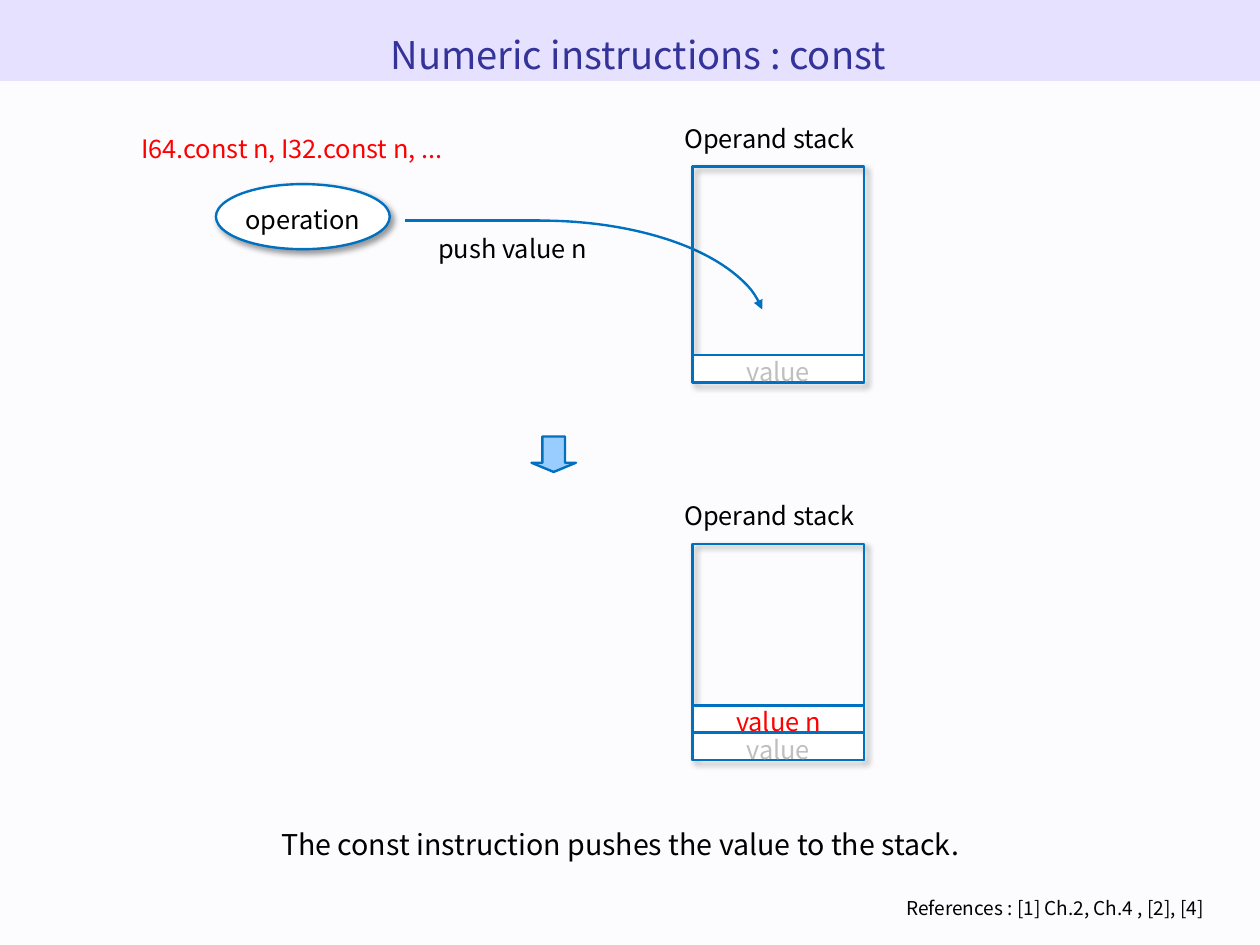
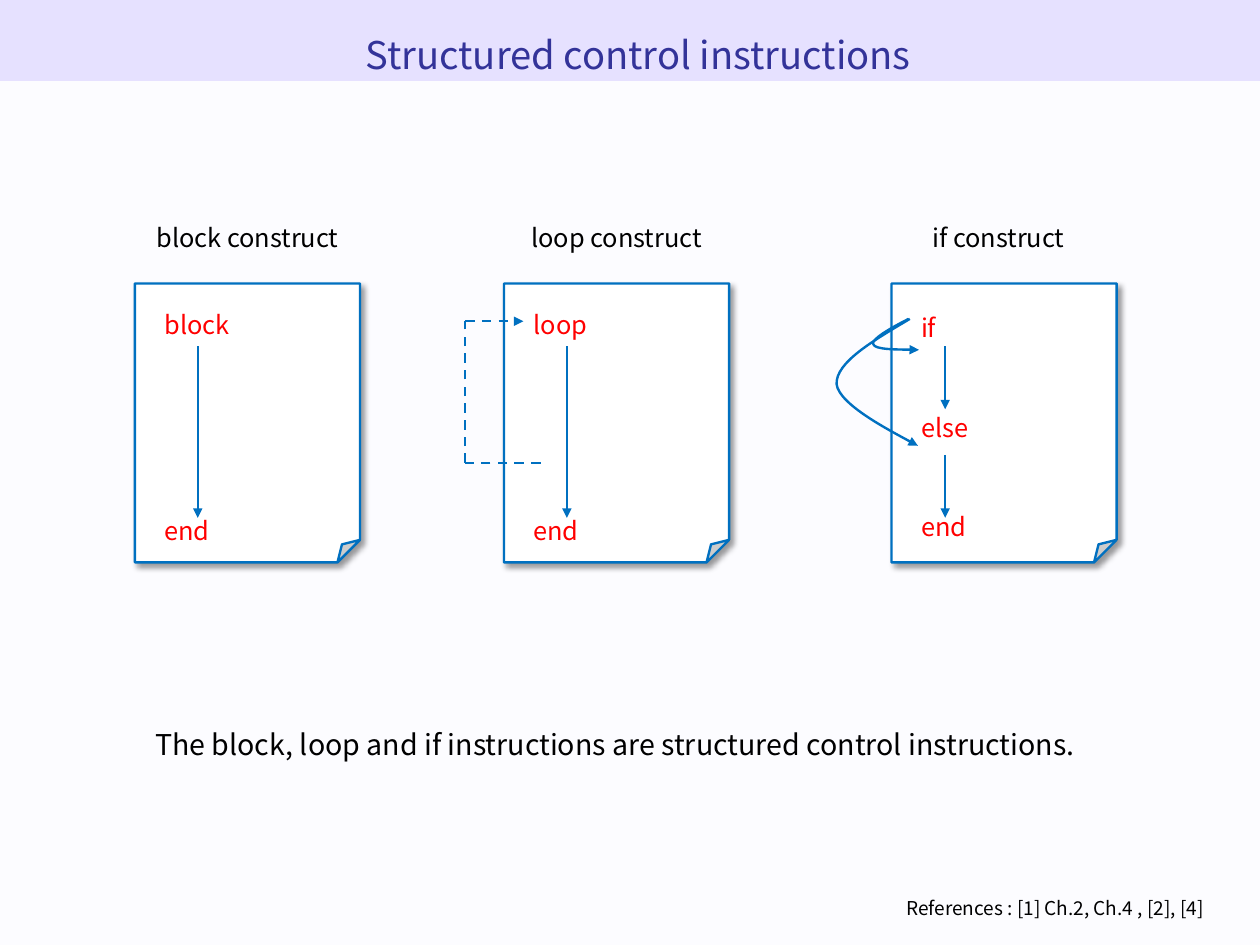
from dataclasses import dataclass
from itertools import pairwise

from lxml import etree
from pptx import Presentation
from pptx import util as u
from pptx.dml.color import RGBColor as Rgb
from pptx.enum import dml, shapes, text
from pptx.oxml.ns import qn

Pt = u.Pt
Kind = shapes.MSO_SHAPE
Side = text.PP_ALIGN
Hold = text.MSO_ANCHOR


@dataclass(frozen=True)
class Theme:
    font: str = "Noto Sans CJK SC"
    page: str = "FCFCFF"
    band: str = "E6E1FF"
    title: str = "333399"
    ink: str = "000000"
    key: str = "FF0000"
    faint: str = "BFBFBF"
    white: str = "FFFFFF"
    edge: str = "0070C0"
    sky: str = "99CCFF"
    head: int = 24
    note: int = 18
    body: int = 16
    ref: int = 12
    lead: float = 1.17
    rule: float = 1.5


T = Theme()
WIDE, HIGH = 793.7, 595.28


def pts(*vals):
    return [Pt(v) for v in vals]


def write(shape, words, size=T.body, tint=T.ink, side=Side.CENTER,
          hold=Hold.MIDDLE, wrap=True, gap=0):
    """Set the words, one paragraph a line, with gap points between them."""
    frame = shape.text_frame
    frame.text = words
    frame.word_wrap = wrap
    frame.auto_size = text.MSO_AUTO_SIZE.NONE
    frame.vertical_anchor = hold
    for i, para in enumerate(frame.paragraphs):
        para.alignment = side
        para.line_spacing = T.lead
        para.space_before = Pt(gap if i else 0)
        for run in para.runs:
            run.font.name = T.font
            run.font.size = Pt(size)
            run.font.color.rgb = Rgb.from_string(tint)


def label(slide, box, words, **style):
    write(slide.shapes.add_textbox(*pts(*box)), words, **style)


def stroke(shape, dash=False, tip=False):
    line = shape.line
    line.color.rgb = Rgb.from_string(T.edge)
    line.width = Pt(T.rule)
    if dash:
        line.dash_style = dml.MSO_LINE.DASH
    if tip:
        etree.SubElement(line._get_or_add_ln(), qn("a:tailEnd"), type="triangle")


def cast(shape):
    """Give the shape a soft shadow to the lower right."""
    fx = shape.element.spPr.find(qn("a:effectLst"))
    drop = etree.SubElement(fx, qn("a:outerShdw"), blurRad=str(Pt(4)),
                            dist=str(Pt(3)), dir="2700000", algn="tl",
                            rotWithShape="0")
    tone = etree.SubElement(drop, qn("a:srgbClr"), val=T.ink)
    etree.SubElement(tone, qn("a:alpha"), val="40000")


def adjust(shape, **guides):
    """Set the named adjust values of a preset shape."""
    found = shape.element.find(".//" + qn("a:avLst"))
    found.clear()
    for name, val in guides.items():
        etree.SubElement(found, qn("a:gd"), name=name, fmla=f"val {val}")


def block(slide, kind, box, fill=None, shade=False, edge=True):
    shape = slide.shapes.add_shape(kind, *pts(*box))
    shape.shadow.inherit = False
    if fill:
        shape.fill.solid()
        shape.fill.fore_color.rgb = Rgb.from_string(fill)
    else:
        shape.fill.background()
    if edge:
        stroke(shape)
    else:
        shape.line.fill.background()
    if shade:
        cast(shape)
    return shape


def link(slide, start, end, dash=False, tip=False):
    line = slide.shapes.add_connector(shapes.MSO_CONNECTOR.STRAIGHT,
                                      *pts(*start, *end))
    stroke(line, dash, tip)
    etree.SubElement(line.element.spPr, qn("a:effectLst"))


def curve(slide, dots):
    """Draw an arrow of cubic curves: a start, then three points for each."""
    first, *rest = [pts(*dot) for dot in dots]
    pen = slide.shapes.build_freeform(*first)
    pen.add_line_segments(rest, close=False)
    shape = pen.convert_to_shape()
    shape.shadow.inherit = False
    shape.fill.background()
    stroke(shape, tip=True)
    track = shape.element.find(".//" + qn("a:path"))
    legs = track.findall(qn("a:lnTo"))
    for i in range(0, len(legs), 3):
        bend = etree.SubElement(track, qn("a:cubicBezTo"))
        for leg in legs[i:i + 3]:
            bend.append(leg[0])
            track.remove(leg)


def dress(deck, layout):
    """Put the page colour on the master and the band on the layout."""
    fill = deck.slide_master.background.fill
    fill.solid()
    fill.fore_color.rgb = Rgb.from_string(T.page)
    band = block(deck.slides[0], Kind.RECTANGLE, (0, 0, WIDE, 51), T.band,
                 edge=False)
    band.element.nvSpPr.cNvPr.set("id", "90")
    layout.shapes.element.insert(2, band.element)


def start(deck, layout, title):
    slide = deck.slides.add_slide(layout)
    head = slide.shapes.title
    head.left, head.top, head.width, head.height = pts(28, 11, 748, 68)
    write(head, title, T.head, T.title, hold=Hold.TOP)
    label(slide, (34, 559, 731.5, 26.5),
          "References : [1] Ch.2, Ch.4 , [2], [4]",
          size=T.ref, side=Side.RIGHT, hold=Hold.TOP)
    return slide


def note(slide, box, words):
    label(slide, box, words, size=T.note, side=Side.LEFT, hold=Hold.TOP)


def stack(slide, box, cells):
    """Draw an operand stack with its cells, listed from the bottom up."""
    x, y, w, h = box
    row = 17.2
    label(slide, (x - 22, y - 34.5, w + 33, 28), "Operand stack",
          hold=Hold.TOP)
    block(slide, Kind.RECTANGLE, box, shade=True)
    for i, (words, tint) in enumerate(cells, 1):
        cell = block(slide, Kind.RECTANGLE, (x, y + h - i * row, w, row), T.white)
        write(cell, words, tint=tint, wrap=False)


def push(slide, box):
    """Draw the operation and its arrow into the stack."""
    x, y, w, h = box
    label(slide, (x - 62.5, y - 39.7, 221, 31.7),
          "I64.const n, I32.const n, ...", tint=T.key)
    write(block(slide, Kind.OVAL, box, T.white, shade=True), "operation",
          wrap=False)
    mid = y + 23
    link(slide, (x + 119, mid), (x + 204, mid))
    arc = block(slide, Kind.ARC, (x + 62.7, mid, 283.7, 136))
    adjust(arc, adj1=16023000, adj2=21305000)
    stroke(arc, tip=True)
    label(slide, (x + 124.6, mid, 124.6, 31.7), "push value n")


def sheet(slide, box, name, words, gap, stem, runs, shift=0):
    """Draw a page of code; runs are the heights its down arrows span."""
    x, y, w, h = box
    label(slide, (x - 30 + shift, y - 45.4, w + 60, 28), name, hold=Hold.TOP)
    leaf = block(slide, Kind.FOLDED_CORNER, box, T.white, shade=True)
    adjust(leaf, adj=10000)
    label(slide, (x + 11.5, y + 1, w - 20, h), "\n".join(words),
          tint=T.key, side=Side.LEFT, gap=gap)
    for top, end in runs:
        link(slide, (x + stem, y + top), (x + stem, y + end), tip=True)


def const(slide):
    old = ("value", T.faint)
    push(slide, (136, 116, 109.5, 41))
    stack(slide, (436.3, 105, 108, 136), [old])
    down = block(slide, Kind.DOWN_ARROW, (334.8, 275, 28, 22.3), T.sky)
    adjust(down, adj1=51000, adj2=26000)
    stack(slide, (436.3, 342.7, 108, 136), [old, ("value n", T.key)])
    note(slide, (170, 513.4, 510.5, 34),
         "The const instruction pushes the value to the stack.")


def control(slide):
    y, w, h = 178.6, 141.8, 175.7
    full, half = [(39.6, 147.6)], [(39.6, 79.2), (108, 147.6)]
    once, loop, fork = 85, 317.5, 561.6
    sheet(slide, (once, y, w, h), "block construct", ["block", "end"],
          107, 39.6, full)
    sheet(slide, (loop, y, w, h), "loop construct", ["loop", "end"],
          107, 39.6, full)
    sheet(slide, (fork, y, w, h), "if construct", ["if", "else", "end"],
          40.2, 33.8, half, shift=-3.6)

    back = [(23, 113), (-24.5, 113), (-24.5, 23.8), (12.2, 23.8)]
    for a, b in pairwise((loop + dx, y + dy) for dx, dy in back):
        link(slide, a, b, dash=True, tip=b[0] > a[0])

    other = [(11.5, 22.3), (-11.5, 36), (-35.3, 49.7), (-34.6, 63.4),
             (-33.1, 76.3), (16.6, 102.2), (16.6, 102.2)]
    then = [(10.8, 22.3), (-0.7, 28.1), (-13, 35.3), (-11.5, 38.2),
            (-10.8, 41.8), (17.3, 41.8), (17.3, 41.8)]
    for dots in (other, then):
        curve(slide, [(fork + dx, y + dy) for dx, dy in dots])
    note(slide, (90.7, 450.7, 641, 39.6),
         "The block, loop and if instructions are structured control "
         "instructions.")


def main():
    deck = Presentation()
    deck.slide_width, deck.slide_height = pts(WIDE, HIGH)
    layout = deck.slide_layouts[5]
    const(start(deck, layout, "Numeric instructions : const"))
    control(start(deck, layout, "Structured control instructions"))
    dress(deck, layout)
    deck.save("out.pptx")


if __name__ == "__main__":
    main()
